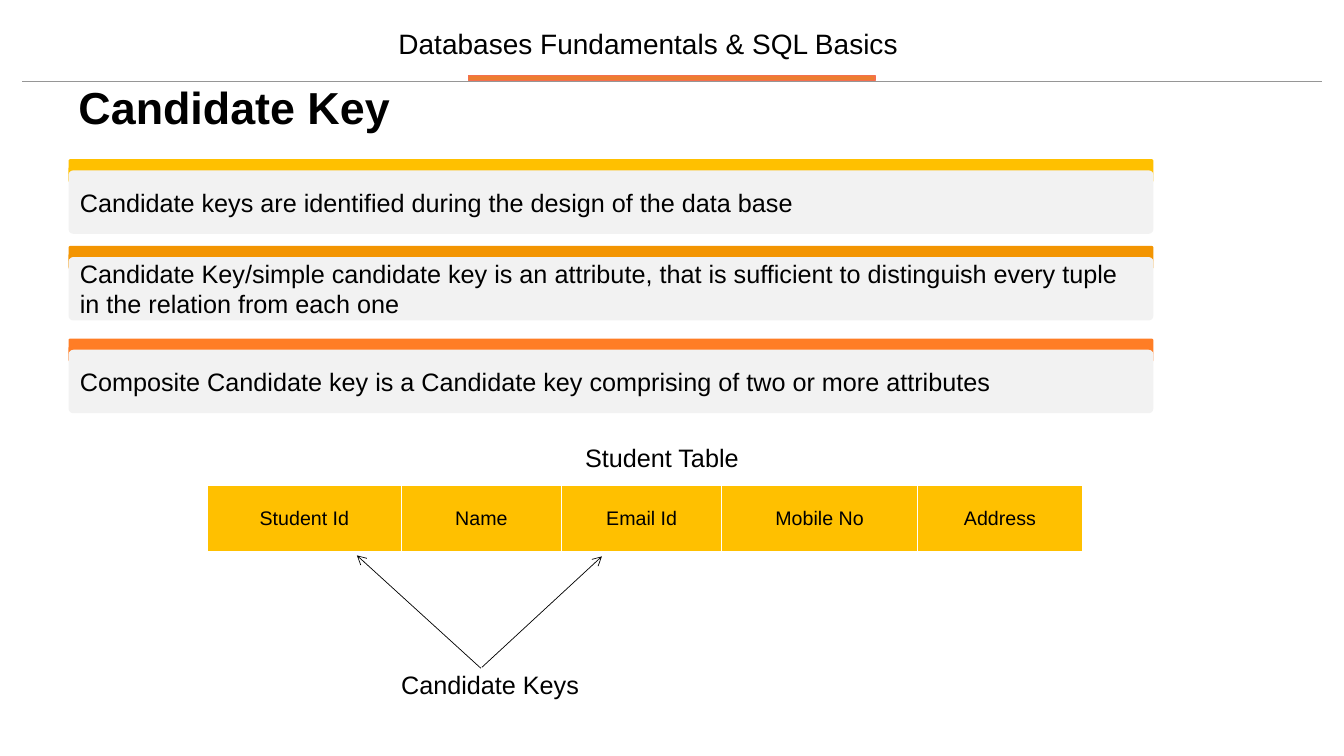
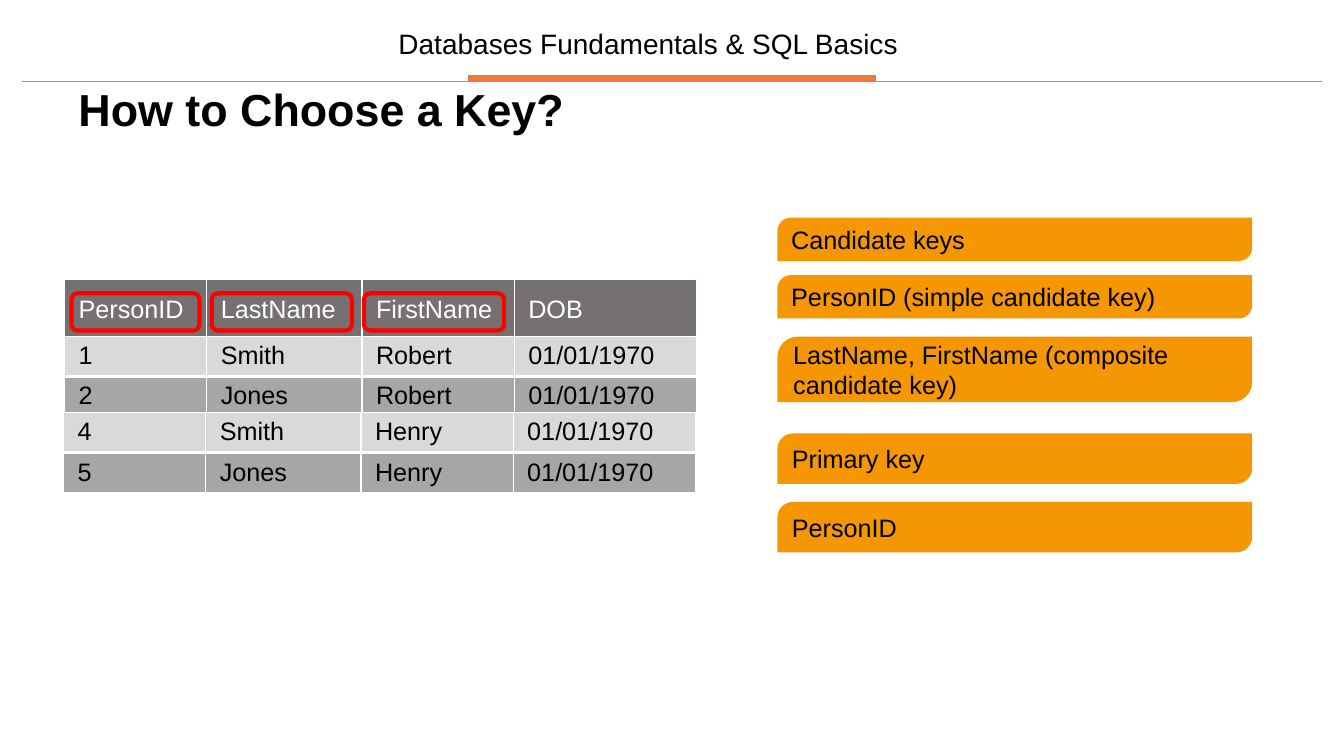
"""Build two slides on candidate keys and how to choose a key."""
from lxml import etree
from pptx import Presentation
from pptx.dml.color import RGBColor
from pptx.enum import shapes as kinds, text as te
from pptx.oxml.ns import qn
from pptx.util import Inches, Pt

BLACK = RGBColor(0, 0, 0)
WHITE = RGBColor(0xFF, 0xFF, 0xFF)
GREY = RGBColor(0x96, 0x96, 0x96)
PALE = RGBColor(0xF2, 0xF2, 0xF2)
LIGHT = RGBColor(0xD9, 0xD9, 0xD9)
MID = RGBColor(0xA6, 0xA6, 0xA6)
DARK = RGBColor(0x76, 0x71, 0x71)
GOLD = RGBColor(0xFF, 0xC0, 0x00)
AMBER = RGBColor(0xF3, 0x95, 0x02)
ORANGE = RGBColor(0xFF, 0x7D, 0x25)
TAG = RGBColor(0xF5, 0x96, 0x03)
BAR = RGBColor(0xED, 0x7D, 0x31)
CORAL = RGBColor(0xF4, 0x6F, 0x4F)
RED = RGBColor(0xFF, 0, 0)

LEFT, CENTER = te.PP_ALIGN.LEFT, te.PP_ALIGN.CENTER
TOP, MIDDLE = te.MSO_ANCHOR.TOP, te.MSO_ANCHOR.MIDDLE
RECT = kinds.MSO_SHAPE.RECTANGLE
ROUND = kinds.MSO_SHAPE.ROUNDED_RECTANGLE
DIAG = kinds.MSO_SHAPE.ROUND_2_DIAG_RECTANGLE

COURSE = "Databases Fundamentals & SQL Basics"
CARDS = [
    (1.58, GOLD, "Candidate keys are identified during the design of the data base"),
    (2.44, AMBER, "Candidate Key/simple candidate key is an attribute, that is sufficient "
                  "to distinguish every tuple in the relation from each one"),
    (3.36, ORANGE, "Composite Candidate key is a Candidate key comprising of two or more attributes"),
]
FIELDS = ["Student Id", "Name", "Email Id", "Mobile No", "Address"]
WIDE = [1.92, 1.59, 1.59, 1.94, 1.64]
ARROWS = [(4.77, 6.63, 3.54, 5.51), (4.78, 6.62, 5.97, 5.52)]
HEADS = ["PersonID", "LastName", "FirstName", "DOB"]
COLS = [1.41, 1.54, 1.51, 1.81]
PEOPLE = [
    (0.64, 3.34, LIGHT, ("1", "Smith", "Robert", "01/01/1970")),
    (0.64, 3.74, MID, ("2", "Jones", "Robert", "01/01/1970")),
    (0.63, 4.09, LIGHT, ("4", "Smith", "Henry", "01/01/1970")),
    (0.63, 4.5, MID, ("5", "Jones", "Henry", "01/01/1970")),
]
RINGS = [(0.71, 1.27), (2.1, 1.39), (3.61, 1.39)]
TAGS = [
    (2.16, 0.43, "Candidate keys"),
    (2.73, 0.43, "PersonID (simple candidate key)"),
    (3.34, 0.65, "LastName, FirstName (composite candidate key)"),
    (4.3, 0.5, "Primary key"),
    (4.98, 0.5, "PersonID"),
]


def write(frame, words, size=18, color=BLACK, bold=False, align=LEFT, space=None):
    para = frame.paragraphs[0]
    para.text = words
    para.alignment = align
    para.line_spacing = space
    para.font.color.rgb = color
    look = {"name": "Arial", "size": Pt(size), "bold": bold}
    for name, value in look.items():
        setattr(para.font, name, value)


def label(slide, box, words, anchor=TOP, **look):
    frame = slide.shapes.add_textbox(*map(Inches, box)).text_frame
    frame.word_wrap = True
    frame.vertical_anchor = anchor
    write(frame, words, **look)


def block(slide, kind, box, fill=None, line=None, width=1, round=None, words=None):
    shape = slide.shapes.add_shape(kind, *map(Inches, box))
    shape.shadow.inherit = False
    if round is not None:
        shape.adjustments[0] = round
    if fill is None:
        shape.fill.background()
    else:
        shape.fill.solid()
        shape.fill.fore_color.rgb = fill
    if line is None:
        shape.line.fill.background()
    else:
        shape.line.color.rgb = line
        shape.line.width = Pt(width)
    if words:
        shape.text_frame.word_wrap = True
        shape.text_frame.vertical_anchor = MIDDLE
        write(shape.text_frame, words)


def link(slide, ends, color, width, arrow=False):
    line = slide.shapes.add_connector(kinds.MSO_CONNECTOR.STRAIGHT, *map(Inches, ends))
    line.line.color.rgb = color
    line.line.width = Pt(width)
    if arrow:
        etree.SubElement(line.line._get_or_add_ln(), qn("a:tailEnd"), type="arrow")
    etree.SubElement(line._element.spPr, qn("a:effectLst"))


def edge(cell):
    for side, width in zip("LRTB", (1, 1, 1, 3)):
        line = etree.SubElement(cell._tc.get_or_add_tcPr(), qn("a:ln" + side), w=str(Pt(width)))
        fill = etree.SubElement(line, qn("a:solidFill"))
        etree.SubElement(fill, qn("a:srgbClr"), val=str(WHITE))


def strip(slide, left, top, high, cols, texts, fill, anchor=TOP, **look):
    size = left, top, sum(cols), high
    grid = slide.shapes.add_table(1, len(cols), *map(Inches, size)).table
    grid.first_row = grid.horz_banding = False
    for col, width in zip(grid.columns, cols):
        col.width = Inches(width)
    for cell, words in zip(grid.rows[0].cells, texts):
        edge(cell)
        cell.fill.solid()
        cell.fill.fore_color.rgb = fill
        cell.margin_left = cell.margin_right = Inches(0.14)
        cell.vertical_anchor = anchor
        write(cell.text_frame, words, **look)


def start(deck, title, top):
    slide = deck.slides.add_slide(deck.slide_layouts[6])
    link(slide, (0.22, 0.81, 13.11, 0.81), GREY, 0.75)
    block(slide, RECT, (4.65, 0.75, 4.03, 0.05), BAR, CORAL)
    label(slide, (3.75, 0.26, 5.36, 0.38), COURSE, MIDDLE, size=20, align=CENTER, space=0.9)
    label(slide, (0.68, top, 12.31, 0.78), title, size=32, bold=True, space=0.9)
    return slide


def keys(deck):
    slide = start(deck, "Candidate Key", 0.8)
    for top, color, words in CARDS:
        block(slide, ROUND, (0.68, top, 10.76, 0.23), color, round=0.075)
        block(slide, ROUND, (0.68, top + 0.11, 10.76, 0.63), PALE, round=0.075, words=words)
    for ends in ARROWS:
        link(slide, ends, BLACK, 0.5, arrow=True)
    label(slide, (3.88, 6.62, 2.33, 0.37), "Candidate Keys", space=0.9)
    strip(slide, 2.06, 4.82, 0.66, WIDE, FIELDS, GOLD, MIDDLE, size=14, align=CENTER)
    label(slide, (5.63, 4.34, 1.87, 0.34), "Student Table", align=CENTER)


def choose(deck):
    slide = start(deck, "How to Choose a Key?", 0.82)
    strip(slide, 0.64, 2.77, 0.61, COLS, HEADS, DARK, MIDDLE, color=WHITE)
    for left, width in RINGS:
        block(slide, ROUND, (left, 2.91, width, 0.37), line=RED, width=3)
    for top, high, words in TAGS:
        block(slide, DIAG, (7.71, top, 4.71, high), TAG, round=0.31, words=words)
    for left, top, fill, texts in PEOPLE:
        strip(slide, left, top, 0.36, COLS, texts, fill)


def main():
    deck = Presentation()
    deck.slide_width, deck.slide_height = Inches(13.33), Inches(7.5)
    keys(deck)
    choose(deck)
    deck.save("out.pptx")


if __name__ == "__main__":
    main()
